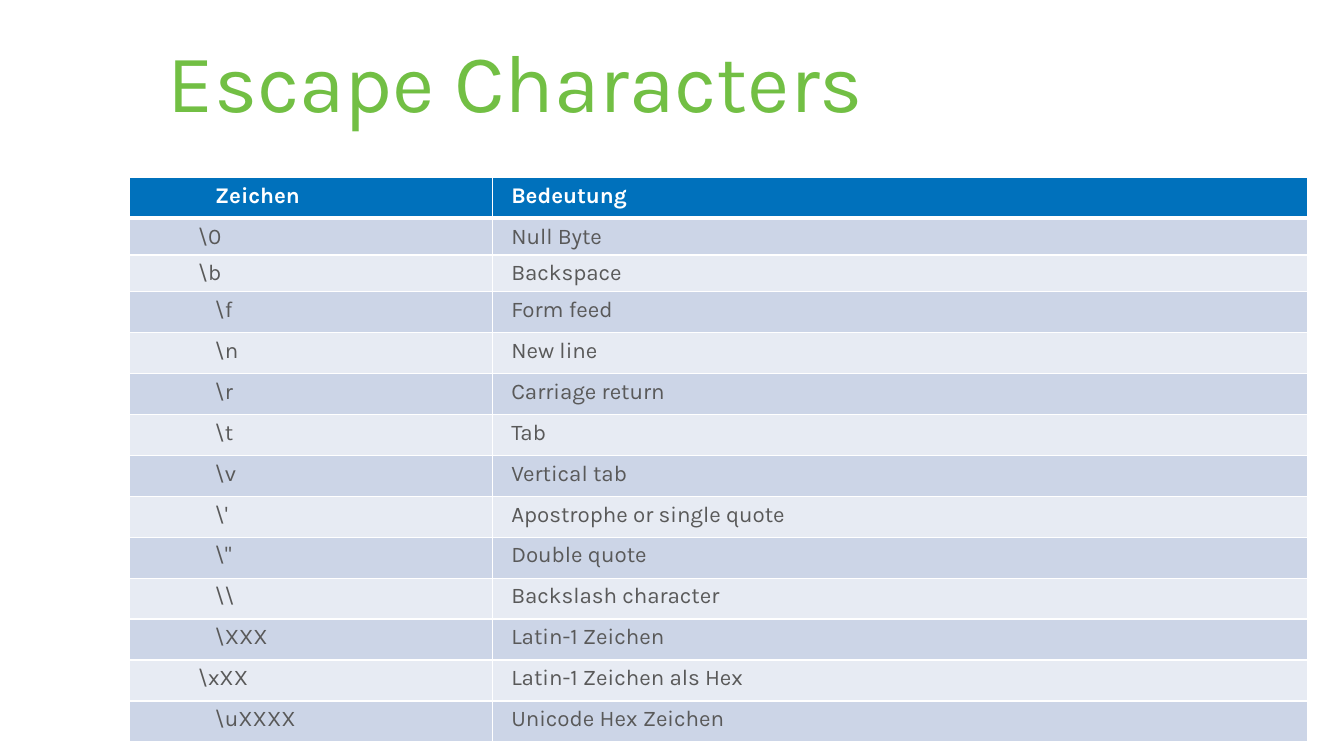
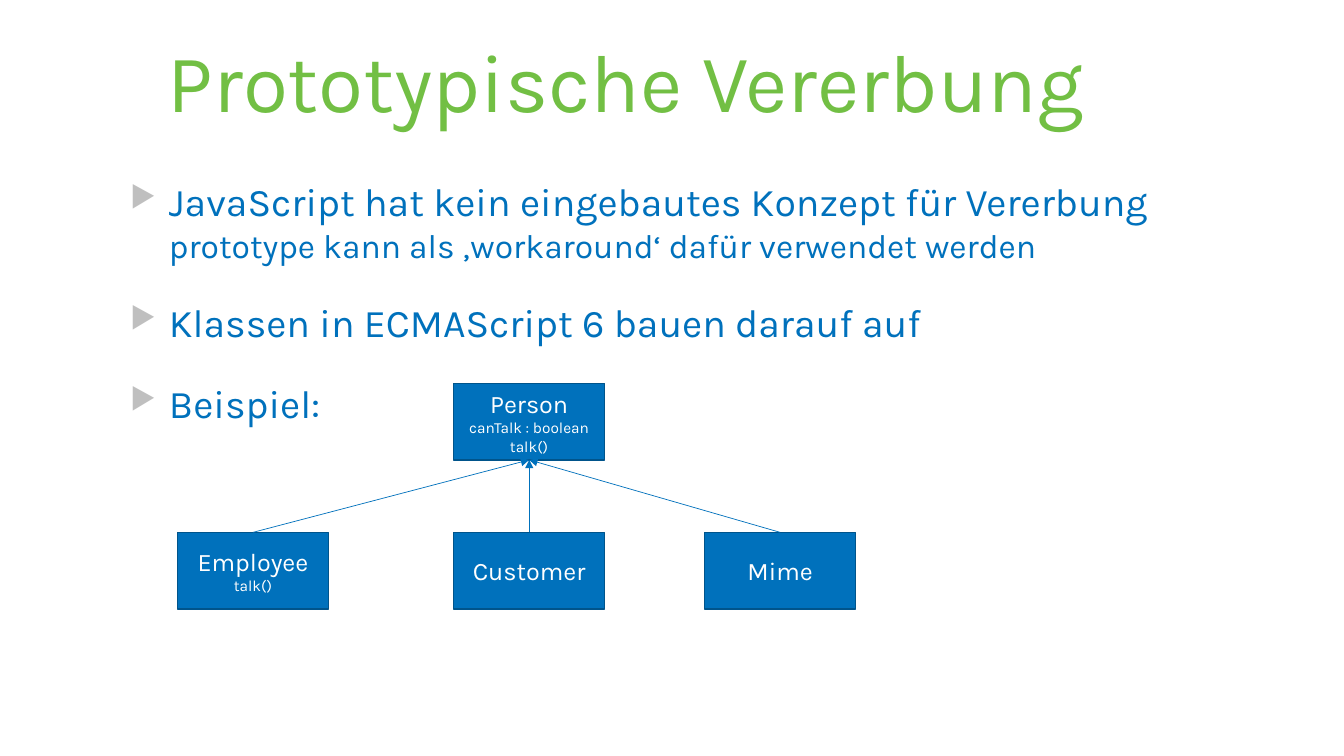
from dataclasses import dataclass

from lxml.etree import SubElement
from pptx import Presentation
from pptx.dml.color import RGBColor
from pptx.enum.shapes import MSO_CONNECTOR as Connector, MSO_SHAPE as Shape
from pptx.enum.text import MSO_ANCHOR as Anchor, PP_ALIGN as Align
from pptx.oxml.ns import qn
from pptx.util import Pt

PX = 9525
FONT = "Karla"
GREEN = RGBColor(0x72, 0xBF, 0x44)
BLUE = RGBColor(0x00, 0x71, 0xBC)
DARK_BLUE = RGBColor(0x00, 0x54, 0x8B)
WHITE = RGBColor(0xFF, 0xFF, 0xFF)
TEXT_GREY = RGBColor(0x59, 0x59, 0x59)
BULLET_GREY = RGBColor(0xBF, 0xBF, 0xBF)
BANDS = (RGBColor(0xCC, 0xD5, 0xE7), RGBColor(0xE7, 0xEB, 0xF3))

CONTENT_LEFT, CONTENT_TOP, CONTENT_WIDTH = 123, 169, 1122
COLUMN_WIDTHS = (346, 776)
CLASS_WIDTH, CLASS_HEIGHT = 144, 73
CHILD_TOP = 507


@dataclass(frozen=True)
class EscapeRow:
    sign: str
    meaning: str
    indent: int = 64
    height: int = 39


@dataclass(frozen=True)
class BodyLine:
    text: str
    size: int = 28
    bullet: bool = True


@dataclass(frozen=True)
class ClassBox:
    name: str
    left: int
    top: int = CHILD_TOP
    members: tuple[str, ...] = ()


ESCAPE_ROWS = (
    EscapeRow("Zeichen", "Bedeutung"),
    EscapeRow(r"\0", "Null Byte", 48, 34),
    EscapeRow(r"\b", "Backspace", 48, 34),
    EscapeRow(r"\f", "Form feed"),
    EscapeRow(r"\n", "New line"),
    EscapeRow(r"\r", "Carriage return"),
    EscapeRow(r"\t", "Tab"),
    EscapeRow(r"\v", "Vertical tab"),
    EscapeRow(r"\'", "Apostrophe or single quote"),
    EscapeRow(r'\"', "Double quote"),
    EscapeRow(r"\\", "Backslash character"),
    EscapeRow(r"\XXX", "Latin-1 Zeichen"),
    EscapeRow(r"\xXX", "Latin-1 Zeichen als Hex", 48),
    EscapeRow(r"\uXXXX", "Unicode Hex Zeichen"),
)

BODY_LINES = (
    BodyLine("JavaScript hat kein eingebautes Konzept für Vererbung"),
    BodyLine("prototype kann als ‚workaround‘ dafür verwendet werden", 24, False),
    BodyLine("Klassen in ECMAScript 6 bauen darauf auf"),
    BodyLine("Beispiel:"),
)

PARENT = ClassBox("Person", 432, 365, ("canTalk : boolean", "talk()"))
CHILDREN = (
    ClassBox("Employee", 169, members=("talk()",)),
    ClassBox("Customer", 432),
    ClassBox("Mime", 671),
)


def add_span(para, text: str, size: float, color: RGBColor, bold: bool = False) -> None:
    span = para.add_run()
    span.text = text
    span.font.name = FONT
    span.font.size = Pt(size)
    span.font.bold = bold
    span.font.color.rgb = color


def clear_margins(frame) -> None:
    frame.margin_left = frame.margin_top = frame.margin_right = frame.margin_bottom = 0
    frame.word_wrap = True


def next_para(frame, index: int):
    return frame.add_paragraph() if index else frame.paragraphs[0]


def set_indent(para, left: int, first: int = 0):
    properties = para._p.get_or_add_pPr()
    properties.set("marL", str(left * PX))
    properties.set("indent", str(first * PX))
    return properties


def add_page(deck, title: str):
    page = deck.slides.add_slide(deck.slide_layouts[5])
    box = page.shapes.title
    box.left, box.top, box.width, box.height = (n * PX for n in (160, 28, 1085, 95))
    frame = box.text_frame
    clear_margins(frame)
    frame.vertical_anchor = Anchor.MIDDLE
    para = frame.paragraphs[0]
    para.alignment = Align.LEFT
    add_span(para, title, 58.7, GREEN)
    return page


def add_borders(cell, top: int, bottom: int) -> None:
    properties = cell._tc.get_or_add_tcPr()
    for side, width in (("L", 1), ("R", 1), ("T", top), ("B", bottom)):
        line = SubElement(properties, qn(f"a:ln{side}"), w=str(Pt(width)))
        fill = SubElement(line, qn("a:solidFill"))
        SubElement(fill, qn("a:srgbClr"), val=str(WHITE))


def add_escape_table(page) -> None:
    height = sum(row.height for row in ESCAPE_ROWS)
    table = page.shapes.add_table(
        len(ESCAPE_ROWS), len(COLUMN_WIDTHS), CONTENT_LEFT * PX, CONTENT_TOP * PX,
        CONTENT_WIDTH * PX, height * PX,
    ).table
    for column, width in zip(table.columns, COLUMN_WIDTHS):
        column.width = width * PX
    for index, row in enumerate(ESCAPE_ROWS):
        header = index == 0
        table.rows[index].height = row.height * PX
        for column, (text, indent) in enumerate(((row.sign, row.indent), (row.meaning, 0))):
            cell = table.cell(index, column)
            cell.margin_left = cell.margin_right = 18 * PX
            cell.margin_top = cell.margin_bottom = 5 * PX
            add_borders(cell, 3 if index == 1 else 1, 3 if header else 1)
            cell.fill.solid()
            cell.fill.fore_color.rgb = BLUE if header else BANDS[(index - 1) % 2]
            para = cell.text_frame.paragraphs[0]
            set_indent(para, indent)
            add_span(para, text, 16, WHITE if header else TEXT_GREY, header)


def add_bullet(properties) -> None:
    color = SubElement(properties, qn("a:buClr"))
    SubElement(color, qn("a:srgbClr"), val=str(BULLET_GREY))
    SubElement(properties, qn("a:buSzPct"), val="75000")
    SubElement(properties, qn("a:buChar"), char="▶")


def add_body(page) -> None:
    box = page.shapes.add_textbox(
        CONTENT_LEFT * PX, CONTENT_TOP * PX, CONTENT_WIDTH * PX, 551 * PX
    )
    frame = box.text_frame
    clear_margins(frame)
    for index, line in enumerate(BODY_LINES):
        para = next_para(frame, index)
        properties = set_indent(para, 38, -37 if line.bullet else 0)
        if line.bullet:
            add_bullet(properties)
        para.space_before = Pt(24 if line.bullet and index else 0)
        add_span(para, line.text, line.size, BLUE)


def add_class(page, item: ClassBox):
    box = page.shapes.add_shape(
        Shape.RECTANGLE, item.left * PX, item.top * PX, CLASS_WIDTH * PX, CLASS_HEIGHT * PX
    )
    box.shadow.inherit = False
    box.fill.solid()
    box.fill.fore_color.rgb = BLUE
    box.line.color.rgb = DARK_BLUE
    box.line.width = Pt(1)
    frame = box.text_frame
    frame.word_wrap = True
    frame.vertical_anchor = Anchor.MIDDLE
    for index, text in enumerate((item.name, *item.members)):
        para = next_para(frame, index)
        para.alignment = Align.CENTER
        add_span(para, text, 11 if index else 18, WHITE)
    return box


def add_inheritance(page, child, parent) -> None:
    arrow = page.shapes.add_connector(Connector.STRAIGHT, 0, 0, 0, 0)
    arrow.begin_connect(child, 0)
    arrow.end_connect(parent, 2)
    arrow.line.color.rgb = BLUE
    arrow.line.width = Pt(0.5)
    SubElement(arrow.line._get_or_add_ln(), qn("a:tailEnd"), type="triangle")
    SubElement(arrow._element.spPr, qn("a:effectLst"))


def main() -> None:
    deck = Presentation()
    deck.slide_width, deck.slide_height = 1280 * PX, 720 * PX

    add_escape_table(add_page(deck, "Escape Characters"))

    page = add_page(deck, "Prototypische Vererbung")
    add_body(page)
    parent = add_class(page, PARENT)
    children = [add_class(page, item) for item in CHILDREN]
    for child in children:
        add_inheritance(page, child, parent)

    deck.save("out.pptx")


if __name__ == "__main__":
    main()
